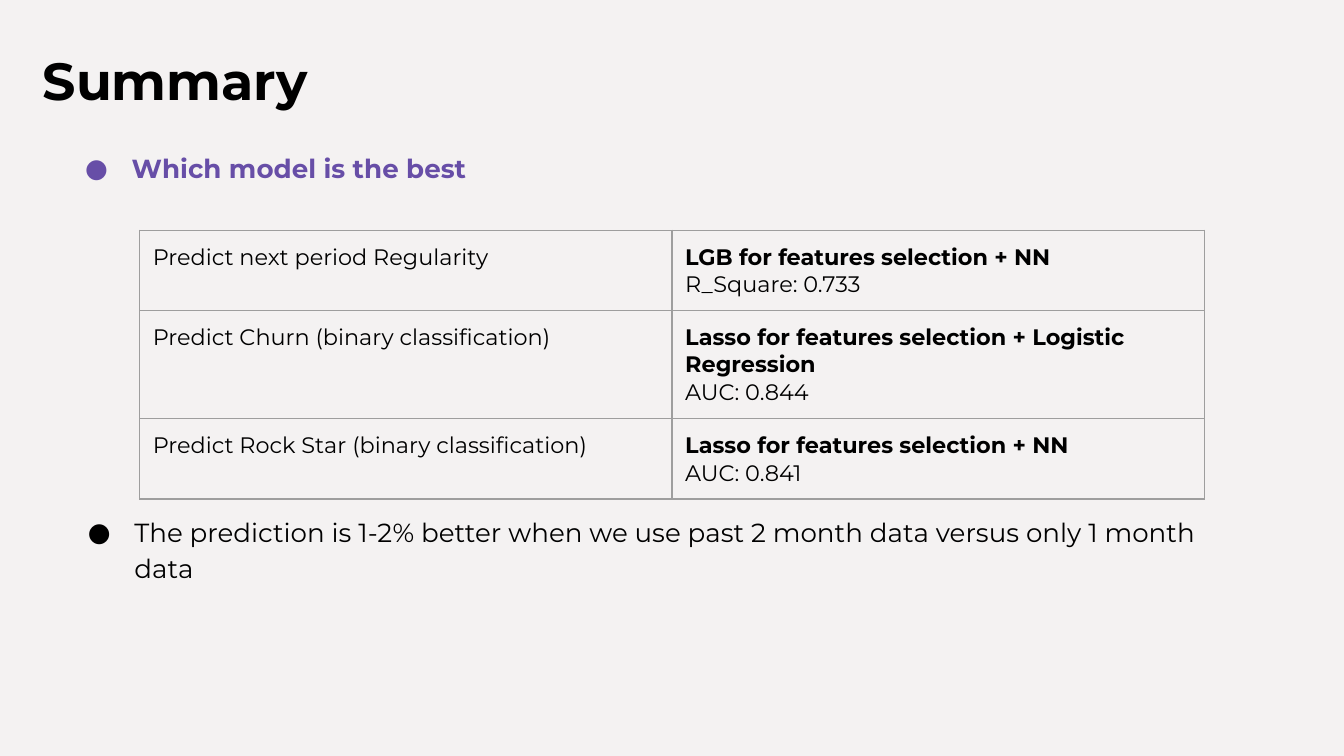
from lxml.etree import SubElement
from pptx import Presentation
from pptx.dml.color import RGBColor
from pptx.oxml.ns import qn
from pptx.util import Cm, Pt

FONT = "Montserrat"
BLACK, PURPLE, GRAY, PAPER = "000000", "674EA7", "9E9E9E", "F4F2F2"
PAD = Cm(0.25)

# text, box (left, top, width, height in cm), size, bold, colour, bullet
TEXTS = [
    ("Summary", (0.56, 0.66, 18, 1.88), 28, True, BLACK, False),
    ("Which model is the best", (0.97, 2.54, 22.6, 10.82), 14, True, PURPLE, True),
    ("The prediction is 1-2% better when we use past 2 month data versus only 1 month data",
     (1.02, 9.42, 21.87, 2.06), 14, False, BLACK, True),
]

# task, best model, score, row height in cm
MODELS = [
    ("Predict next period Regularity",
     "LGB for features selection + NN", "R_Square: 0.733", 1.5),
    ("Predict Churn (binary classification)",
     "Lasso for features selection + Logistic Regression", "AUC: 0.844", 2.05),
    ("Predict Rock Star (binary classification)",
     "Lasso for features selection + NN", "AUC: 0.841", 1.5),
]
LEFT, TOP, COL = 2.64, 4.35, 10.06


def color(code):
    return RGBColor.from_string(code)


def style(para, size, bold, code):
    for run in para.runs:
        font = run.font
        font.name, font.size, font.bold = FONT, Pt(size), bold
        font.color.rgb = color(code)


def pad(item):
    item.margin_left = item.margin_right = PAD
    item.margin_top = item.margin_bottom = PAD


def add_bullet(para, code):
    props = para._p.get_or_add_pPr()
    props.set("marL", str(Cm(1.27)))
    props.set("indent", str(-Cm(0.88)))
    tint = SubElement(props, qn("a:buClr"))
    SubElement(tint, qn("a:srgbClr"), val=code)
    SubElement(props, qn("a:buFont"), typeface=FONT)
    SubElement(props, qn("a:buChar"), char="●")
    para.line_spacing = 1.15


def add_text(slide, text, box, size, bold, code, bullet):
    frame = slide.shapes.add_textbox(*map(Cm, box)).text_frame
    frame.word_wrap = True
    pad(frame)
    frame.text = text
    para = frame.paragraphs[0]
    if bullet:
        add_bullet(para, code)
    style(para, size, bold, code)


def add_border(cell):
    props = cell._tc.get_or_add_tcPr()
    for side in "LRTB":
        line = SubElement(props, qn(f"a:ln{side}"), w=str(Pt(0.75)))
        fill = SubElement(line, qn("a:solidFill"))
        SubElement(fill, qn("a:srgbClr"), val=GRAY)


def fill_cell(cell, text, bolds):
    """Write one line of text per flag in bolds."""
    pad(cell)
    add_border(cell)
    cell.fill.background()
    cell.text_frame.text = text
    for para, bold in zip(cell.text_frame.paragraphs, bolds):
        style(para, 12, bold, BLACK)


def add_models(slide):
    high = sum(row[-1] for row in MODELS)
    table = slide.shapes.add_table(
        len(MODELS), 2, Cm(LEFT), Cm(TOP), Cm(2 * COL), Cm(high)).table
    table.first_row = table.horz_banding = False
    for col in table.columns:
        col.width = Cm(COL)
    for i, (task, model, score, tall) in enumerate(MODELS):
        table.rows[i].height = Cm(tall)
        fill_cell(table.cell(i, 0), task, [False])
        fill_cell(table.cell(i, 1), f"{model}\n{score}", [True, False])


def main():
    deck = Presentation()
    deck.slide_width, deck.slide_height = Cm(25.4), Cm(14.29)
    slide = deck.slides.add_slide(deck.slide_layouts[6])
    back = slide.background.fill
    back.solid()
    back.fore_color.rgb = color(PAPER)
    for item in TEXTS:
        add_text(slide, *item)
    add_models(slide)
    deck.save("out.pptx")


if __name__ == "__main__":
    main()
